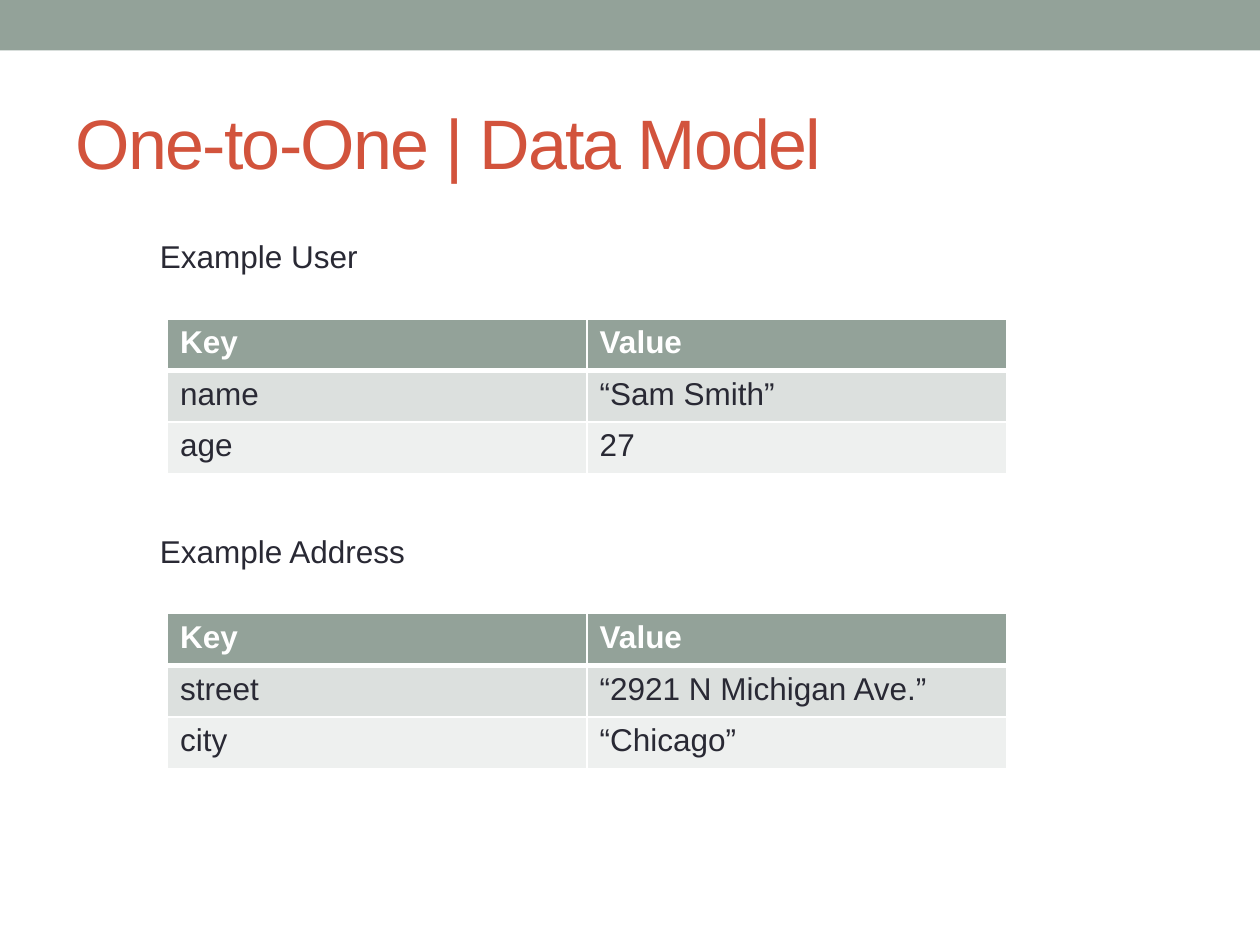
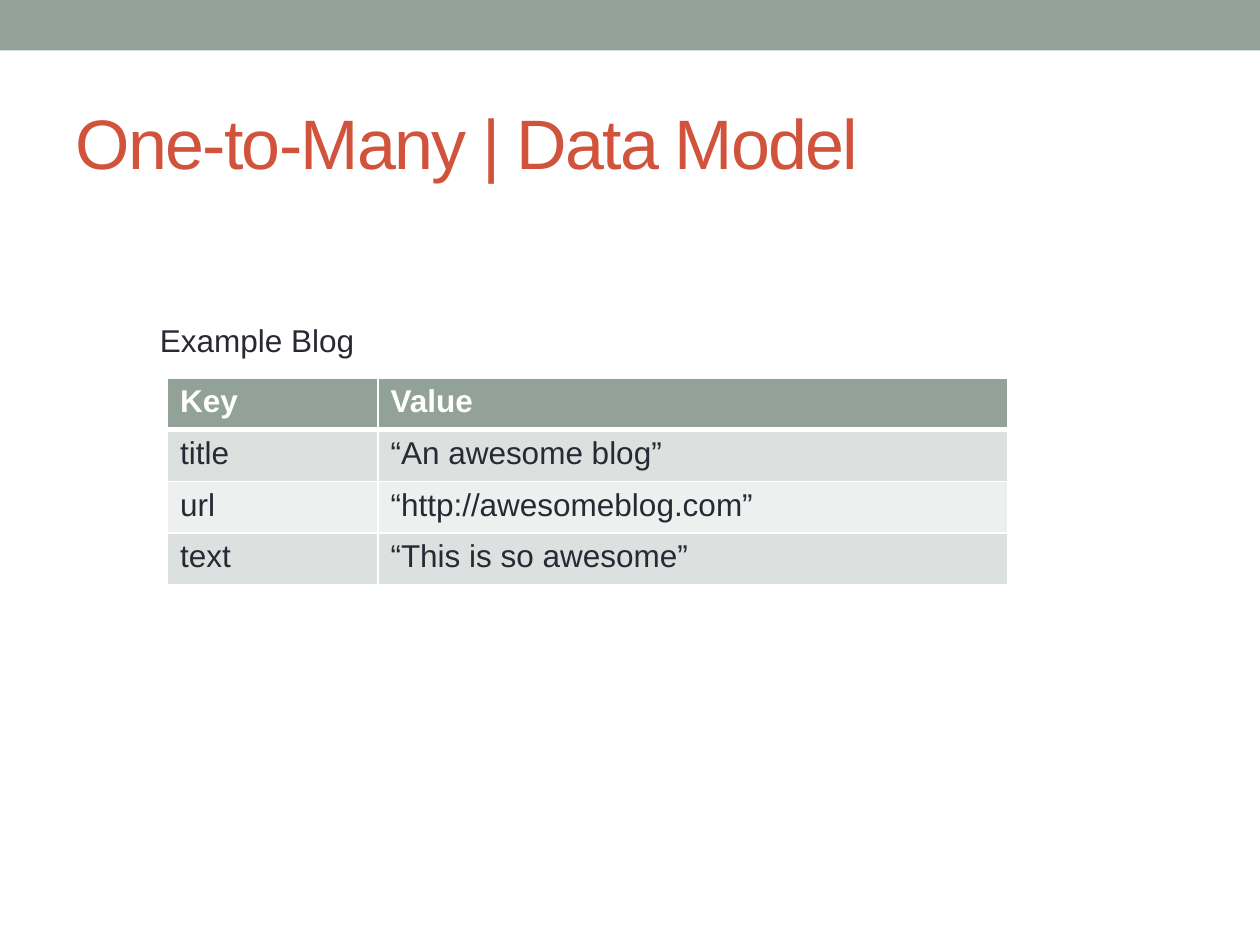
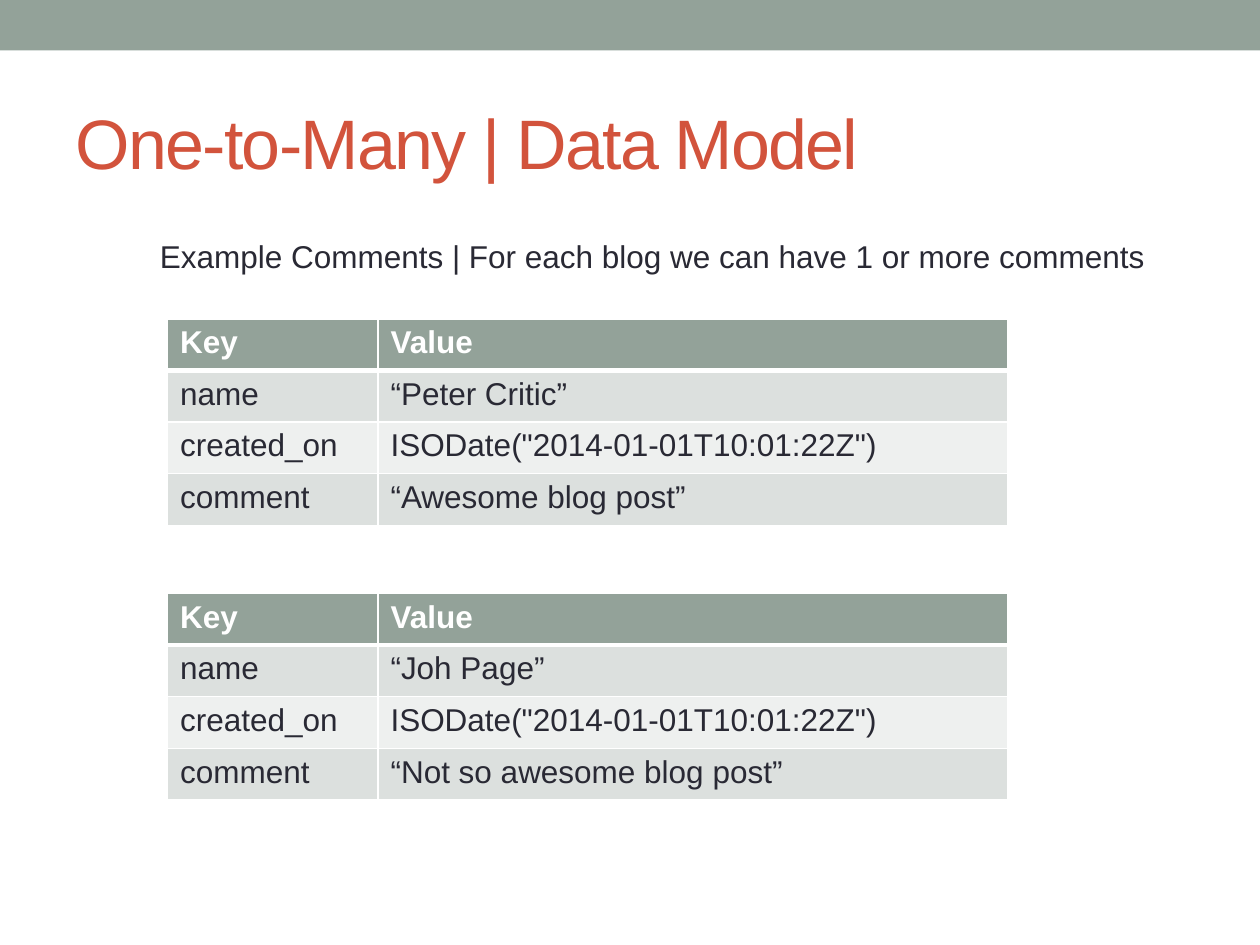
from lxml.etree import SubElement
from pptx import Presentation
from pptx.dml.color import RGBColor
from pptx.enum.shapes import MSO_SHAPE
from pptx.enum.text import MSO_ANCHOR, MSO_AUTO_SIZE, PP_ALIGN
from pptx.oxml.ns import qn
from pptx.util import Inches, Pt

COLORS = {
    "band": "93A299",
    "title": "D2533C",
    "text": "292934",
    "white": "FFFFFF",
    "dark_row": "DCE0DE",
    "light_row": "EEF0EF",
}
FONT = "Arial"
TITLE_ONLY = 5
SLIDE_WIDTH, SLIDE_HEIGHT = 10, 7.5
TABLE_LEFT, ROW_HEIGHT = 1.33, 0.41
LABEL_LEFT, LABEL_HEIGHT = 1.17, 0.4
EQUAL_COLUMNS = (3.33, 3.33)
NARROW_KEY_COLUMNS = (1.67, 5)


def rgb(name):
    return RGBColor.from_string(COLORS[name])


class DataModelDeck:
    """Holds the presentation, its style and the current slide."""

    def __init__(self):
        self.deck = Presentation()
        self.deck.slide_width = Inches(SLIDE_WIDTH)
        self.deck.slide_height = Inches(SLIDE_HEIGHT)
        self.page = None

    def add_page(self, title):
        self.page = self.deck.slides.add_slide(self.deck.slide_layouts[TITLE_ONLY])
        self.add_band()
        self.set_title(title)

    def add_band(self):
        band = self.page.shapes.add_shape(
            MSO_SHAPE.RECTANGLE, 0, 0, Inches(SLIDE_WIDTH), Inches(0.4))
        band.shadow.inherit = False
        band.fill.solid()
        band.fill.fore_color.rgb = rgb("band")
        band.line.fill.background()

    def set_title(self, text):
        box = self.page.shapes.title
        box.left, box.top = Inches(0.5), Inches(0.58)
        box.width, box.height = Inches(9), Inches(1.08)
        box.text_frame.vertical_anchor = MSO_ANCHOR.MIDDLE
        para = box.text_frame.paragraphs[0]
        para.alignment = PP_ALIGN.LEFT
        self.set_text(para, text, 40, "title")
        para.runs[0].font._element.set("spc", "-100")

    def set_text(self, para, text, size, color, bold=False):
        para.text = text
        para.font.name = FONT
        para.font.size = Pt(size)
        para.font.bold = bold
        para.font.color.rgb = rgb(color)

    def add_label(self, text, top, width):
        box = self.page.shapes.add_textbox(
            Inches(LABEL_LEFT), Inches(top), Inches(width), Inches(LABEL_HEIGHT))
        box.text_frame.word_wrap = False
        box.text_frame.auto_size = MSO_AUTO_SIZE.SHAPE_TO_FIT_TEXT
        self.set_text(box.text_frame.paragraphs[0], text, 18, "text")

    def add_key_table(self, top, columns, entries):
        """Add a table of keys and values under a Key/Value header."""
        rows = [("Key", "Value"), *entries]
        table = self.page.shapes.add_table(
            len(rows), len(columns), Inches(TABLE_LEFT), Inches(top),
            Inches(sum(columns)), Inches(ROW_HEIGHT * len(rows))).table
        for column, width in zip(table.columns, columns):
            column.width = Inches(width)
        for row_index, values in enumerate(rows):
            table.rows[row_index].height = Inches(ROW_HEIGHT)
            for column_index, value in enumerate(values):
                self.format_cell(table.cell(row_index, column_index), value, row_index)

    def format_cell(self, cell, text, row_index):
        is_header = row_index == 0
        self.set_borders(cell, top=3 if row_index == 1 else 1, bottom=3 if is_header else 1)
        row_fill = "dark_row" if row_index % 2 else "light_row"
        cell.fill.solid()
        cell.fill.fore_color.rgb = rgb("band" if is_header else row_fill)
        self.set_text(cell.text_frame.paragraphs[0], text, 18,
                      "white" if is_header else "text", bold=is_header)

    def set_borders(self, cell, top, bottom):
        properties = cell._tc.get_or_add_tcPr()
        for side, points in (("L", 1), ("R", 1), ("T", top), ("B", bottom)):
            line = SubElement(properties, qn(f"a:ln{side}"), w=str(Pt(points)))
            fill = SubElement(line, qn("a:solidFill"))
            SubElement(fill, qn("a:srgbClr"), val=COLORS["white"])


def main():
    model = DataModelDeck()

    model.add_page("One-to-One | Data Model")
    model.add_label("Example User", 1.83, 1.86)
    model.add_key_table(2.53, EQUAL_COLUMNS, [("name", "“Sam Smith”"), ("age", "27")])
    model.add_label("Example Address", 4.17, 2.24)
    model.add_key_table(4.87, EQUAL_COLUMNS, [
        ("street", "“2921 N Michigan Ave.”"),
        ("city", "“Chicago”"),
    ])

    model.add_page("One-to-Many | Data Model")
    model.add_label("Example Blog", 2.5, 1.9)
    model.add_key_table(3, NARROW_KEY_COLUMNS, [
        ("title", "“An awesome blog”"),
        ("url", "“http://awesomeblog.com”"),
        ("text", "“This is so awesome”"),
    ])

    model.add_page("One-to-Many | Data Model")
    model.add_label("Example Comments | For each blog we can have 1 or more comments", 1.83, 8.39)
    comments = [
        (2.53, "“Peter Critic”", "“Awesome blog post”"),
        (4.71, "“Joh Page”", "“Not so awesome blog post”"),
    ]
    for top, name, comment in comments:
        model.add_key_table(top, NARROW_KEY_COLUMNS, [
            ("name", name),
            ("created_on", 'ISODate("2014-01-01T10:01:22Z")'),
            ("comment", comment),
        ])

    model.deck.save("out.pptx")


if __name__ == "__main__":
    main()
